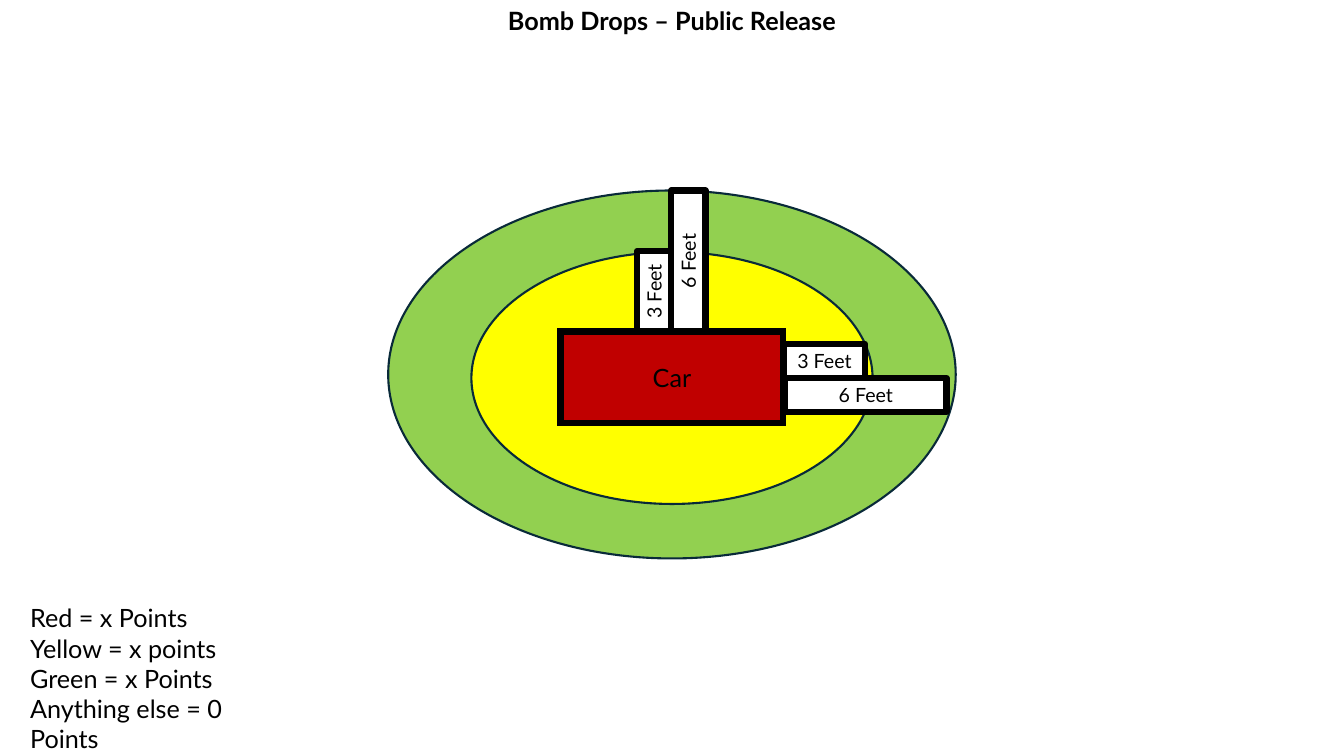
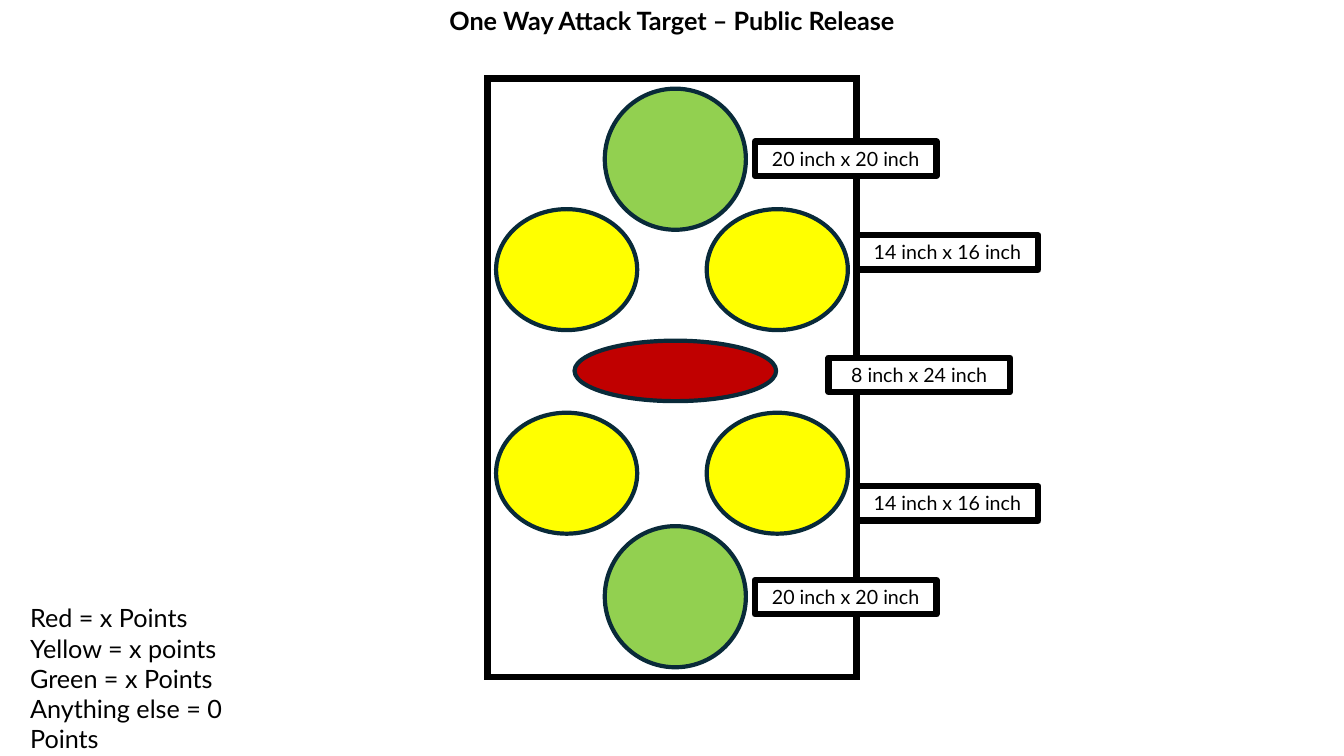
from lxml import etree
from pptx import Presentation
from pptx import util as u
from pptx.dml.color import RGBColor
from pptx.enum import shapes, text
from pptx.oxml.ns import qn

COLORS = {
    "red": "C00000", "yellow": "FFFF00", "green": "92D050",
    "black": "000000", "white": "FFFFFF", "ring": "092A39",
}
FONT = "Lato"
CELL = 0.1  # inches per grid column and row
COLUMNS, ROWS = 133.33, 75
LABEL_HEIGHT = 3.4
SCORING = ["Red = x Points", "Yellow = x points", "Green = x Points",
           "Anything else = 0 Points"]


def grid(cells):
    return u.Inches(cells * CELL)


def color(name):
    return RGBColor.from_string(COLORS[name])


def write(shape, lines, size=18, bold=False, align=text.PP_ALIGN.CENTER,
          anchor=text.MSO_ANCHOR.TOP, fit=text.MSO_AUTO_SIZE.SHAPE_TO_FIT_TEXT):
    frame = shape.text_frame
    frame.word_wrap = True
    frame.auto_size = fit
    frame.vertical_anchor = anchor
    frame.text = "\n".join(lines)
    for paragraph in frame.paragraphs:
        paragraph.alignment = align
        font = paragraph.font
        font.name, font.size, font.bold = FONT, u.Pt(size), bold
        font.color.rgb = color("black")


def centered(x, y, width, height):
    """Return left, top, width and height of a box centred on (x, y)."""
    return [grid(n) for n in (x - width / 2, y - height / 2, width, height)]


class Deck:
    def __init__(self):
        self.prs = Presentation()
        self.prs.slide_width, self.prs.slide_height = grid(COLUMNS), grid(ROWS)
        self.slide = None

    def new_slide(self, title):
        self.slide = self.prs.slides.add_slide(self.prs.slide_layouts[6])
        self.textbox(0, 0, COLUMNS, 4, [title], bold=True)
        self.textbox(2, 59.3, 27.5, 13.1, SCORING, align=text.PP_ALIGN.LEFT)

    def textbox(self, left, top, width, height, lines, **style):
        box = self.slide.shapes.add_textbox(
            *[grid(n) for n in (left, top, width, height)])
        write(box, lines, **style)

    def paint(self, shape, fill, line, weight):
        shape.fill.solid()
        shape.fill.fore_color.rgb = color(fill)
        shape.line.color.rgb = color(line)
        shape.line.width = u.Pt(weight)

    def zone(self, x, y, width, height, fill, weight):
        oval = self.slide.shapes.add_shape(
            shapes.MSO_SHAPE.OVAL, *centered(x, y, width, height))
        oval.shadow.inherit = False
        self.paint(oval, fill, "ring", weight)

    def block(self, x, y, width, height, fill):
        """Add a heavy-lined rectangle with square corners."""
        rect = self.slide.shapes.add_shape(
            shapes.MSO_SHAPE.RECTANGLE, *centered(x, y, width, height))
        rect.shadow.inherit = False
        self.paint(rect, fill, "black", 4.5)
        outline = rect.line._get_or_add_ln()
        etree.SubElement(outline, qn("a:miter"), lim="800000")
        return rect

    def label(self, x, y, width, caption, rotation=0):
        box = self.slide.shapes.add_textbox(
            *centered(x, y, width, LABEL_HEIGHT))
        box.rotation = rotation
        self.paint(box, "white", "black", 4.5)
        write(box, [caption], size=14)


def bomb_drops(deck):
    middle = COLUMNS / 2
    deck.new_slide("Bomb Drops – Public Release")
    deck.zone(middle, 37.15, 56.3, 36.5, "green", 1.5)
    deck.zone(middle, 37.5, 39.8, 25, "yellow", 1.5)
    car = deck.block(middle, 37.45, 22.1, 9.1, "red")
    write(car, ["Car"], anchor=text.MSO_ANCHOR.MIDDLE,
          fit=text.MSO_AUTO_SIZE.NONE)
    for x, y, feet, length, rotation in [
            (81.8, 35.8, 3, 8, 0), (64.9, 28.9, 3, 8, 270),
            (68.3, 25.9, 6, 14, 270), (85.9, 39.2, 6, 16, 0)]:
        deck.label(x, y, length, f"{feet} Feet", rotation)


def attack_target(deck):
    middle, axis = COLUMNS / 2, 37.5
    deck.new_slide("One Way Attack Target – Public Release")
    deck.block(middle, axis, 36.6, 59.4, "white")
    deck.zone(67, 36.8, 20, 6, "red", 3)
    deck.label(91.2, 37.2, 18, "8 inch x 24 inch")
    for side in (-1, 1):
        deck.zone(67, axis + side * 21.7, 14, 14, "green", 3)
        for wing in (-1, 1):
            deck.zone(middle + wing * 10.45, 36.85 + side * 10.1,
                      14, 12, "yellow", 3)
        deck.label(83.9, axis + side * 21.75, 18, "20 inch x 20 inch")
        deck.label(94, axis + side * 12.45, 18, "14 inch x 16 inch")


def main():
    deck = Deck()
    bomb_drops(deck)
    attack_target(deck)
    deck.prs.save("out.pptx")


if __name__ == "__main__":
    main()
